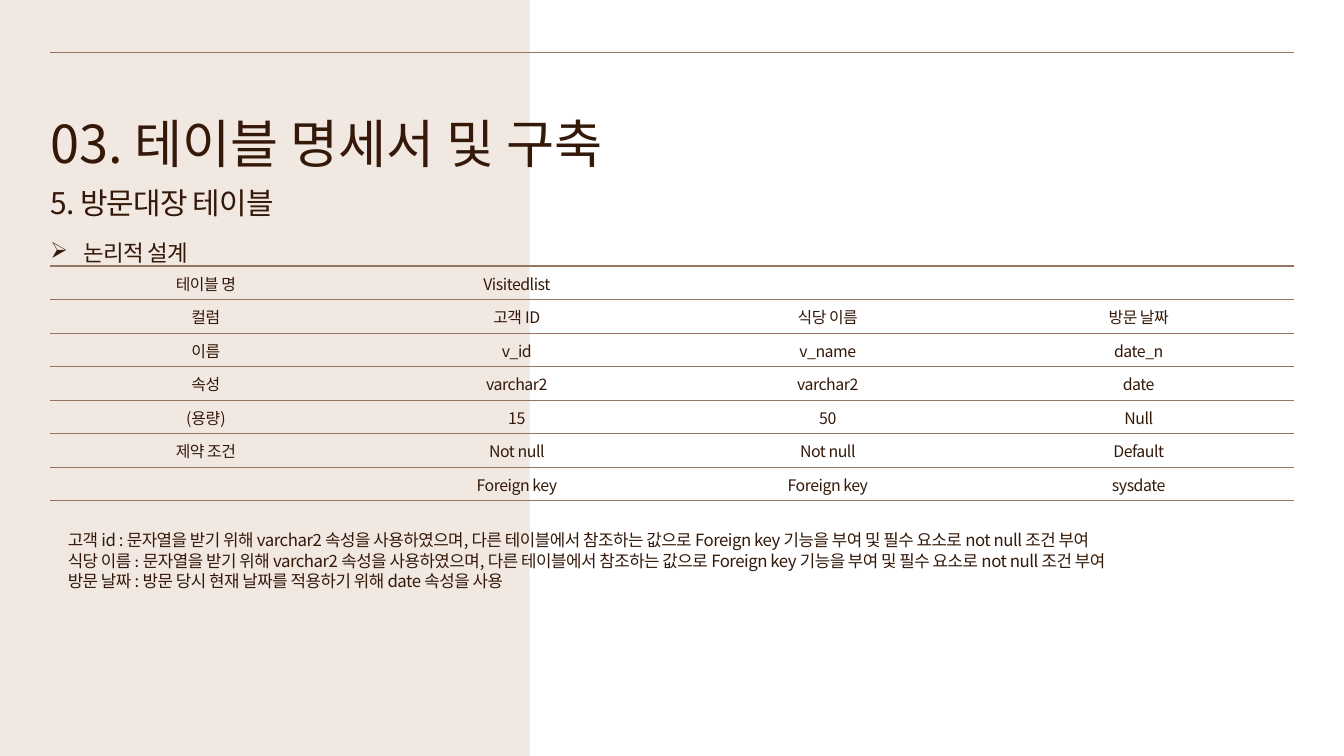
from lxml import etree
from pptx import Presentation
from pptx import util as u
from pptx.dml.color import RGBColor
from pptx.enum import shapes, text
from pptx.oxml.ns import qn

PX = 9144
SAND = RGBColor(0xF1, 0xE8, 0xE2)
WHITE = RGBColor(0xFF, 0xFF, 0xFF)
TAN = RGBColor(0x96, 0x76, 0x63)
BROWN = RGBColor(0x34, 0x19, 0x09)
BLACK = RGBColor(0, 0, 0)
HEAD = "Noto Sans CJK KR"
BODY = "Noto Sans CJK SC"

ROWS = [
    ["테이블 명", "Visitedlist", "", ""],
    ["컬럼", "고객 ID", "식당 이름", "방문 날짜"],
    ["이름", "v_id", "v_name", "date_n"],
    ["속성", "varchar2", "varchar2", "date"],
    ["(용량)", "15", "50", "Null"],
    ["제약 조건", "Not null", "Not null", "Default"],
    ["", "Foreign key", "Foreign key", "sysdate"],
]
REF = ("문자열을 받기 위해 varchar2 속성을 사용하였으며, 다른 테이블에서 참조하는 값으로 "
       "Foreign key 기능을 부여 및 필수 요소로 not null 조건 부여")
NOTES = [
    ["고객 id : " + REF],
    ["식당 이름 ", ": ", REF],
    ["방문 날짜 : 방문 당시 현재 날짜를 적용하기 위해 date 속성을 사용"],
]


def px(*vals):
    return [u.Emu(v * PX) for v in vals]


def style(para, face, size, gap=0):
    font = para.font
    font.size = u.Pt(size)
    font.color.rgb = BROWN
    font.name = face
    props = para._p.pPr.find(qn("a:defRPr"))
    props.set("spc", str(gap))
    etree.SubElement(props, qn("a:ea")).set("typeface", face)


def frame(slide, box, inset=True):
    body = slide.shapes.add_textbox(*px(*box)).text_frame
    body.word_wrap = True
    body.auto_size = text.MSO_AUTO_SIZE.SHAPE_TO_FIT_TEXT
    if not inset:
        body.margin_left = body.margin_right = 0
        body.margin_top = body.margin_bottom = 0
    return body


def heading(slide, box, words, size, lead, gap=0, bullet=None):
    para = frame(slide, box, False).paragraphs[0]
    para.text = words
    para.line_spacing = u.Pt(lead)
    if bullet:
        props = para._p.get_or_add_pPr()
        indent = px(50)[0]
        props.set("marL", str(indent))
        props.set("indent", str(-indent))
        etree.SubElement(props, qn("a:buChar")).set("char", bullet)
    style(para, HEAD, size, gap)


def backdrop(slide, box):
    left, top, width, height = box
    fill = slide.background.fill
    fill.solid()
    fill.fore_color.rgb = SAND
    panel = slide.shapes.add_shape(
        shapes.MSO_SHAPE.RECTANGLE,
        *px(left + 788, top, width - 788, height))
    panel.shadow.inherit = False
    panel.fill.solid()
    panel.fill.fore_color.rgb = WHITE
    panel.line.fill.background()
    rule = slide.shapes.add_connector(
        shapes.MSO_CONNECTOR.STRAIGHT,
        *px(left + 75, top + 78, left + width - 75, top + 78))
    rule.line.color.rgb = TAN
    rule.line.width = u.Pt(0.75)
    etree.SubElement(rule._element.spPr, qn("a:effectLst"))


def border(cell, side, width):
    props = cell._tc.get_or_add_tcPr()
    line = etree.SubElement(props, qn("a:ln" + side), w=str(u.Pt(width)))
    if width:
        fill = etree.SubElement(line, qn("a:solidFill"))
        etree.SubElement(fill, qn("a:srgbClr"), val=str(TAN))
    else:
        etree.SubElement(line, qn("a:noFill"))


def grid(slide, box, rows):
    table = slide.shapes.add_table(len(rows), len(rows[0]), *px(*box)).table
    table.first_row = table.horz_banding = False
    for r, row in enumerate(rows):
        for c, words in enumerate(row):
            cell = table.cell(r, c)
            for side, width in (("L", 0), ("R", 0),
                                ("T", 0.75 if r else 3), ("B", 0.75)):
                border(cell, side, width)
            cell.fill.background()
            cell.vertical_anchor = text.MSO_ANCHOR.MIDDLE
            para = cell.text_frame.paragraphs[0]
            para.text = words
            para.alignment = text.PP_ALIGN.CENTER
            para.line_spacing = 1.03
            style(para, BODY, 17, -50)


def notes(slide, box, lines):
    body = frame(slide, box)
    for i, parts in enumerate(lines):
        para = body.add_paragraph() if i else body.paragraphs[0]
        style(para, BODY, 18, -50)
        for part in parts:
            run = para.add_run()
            run.text = part
            if part == ": ":
                run.font.name = "Calibri"
                run.font.color.rgb = BLACK
                run.font._element.set("spc", "0")


def main():
    deck = Presentation()
    deck.slide_width, deck.slide_height = px(2000, 1125)
    slide = deck.slides.add_slide(deck.slide_layouts[6])
    backdrop(slide, (0, 0, 2000, 1125))
    heading(slide, (75, 155, 1500, 97), "03. 테이블 명세서 및 구축", 56, 74.5)
    heading(slide, (75, 259, 713, 60), "5. 방문대장 테이블", 32, 49.3, -90)
    grid(slide, (75, 396, 1851, 349), ROWS)
    heading(slide, (75, 328, 434, 60), "논리적 설계", 24, 49.3, -90, "➢")
    notes(slide, (91, 784, 1725, 101), NOTES)
    deck.save("out.pptx")


if __name__ == "__main__":
    main()
